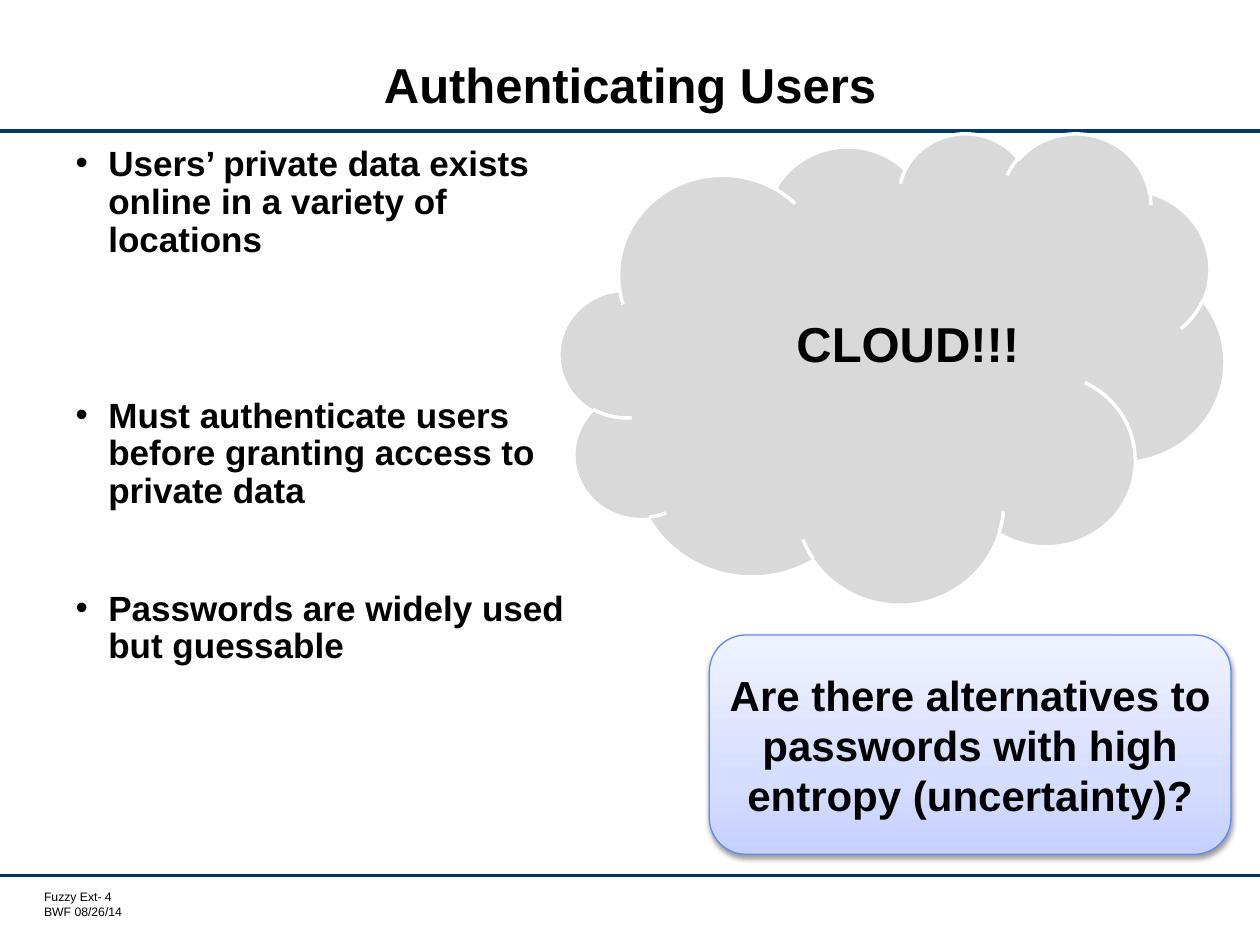
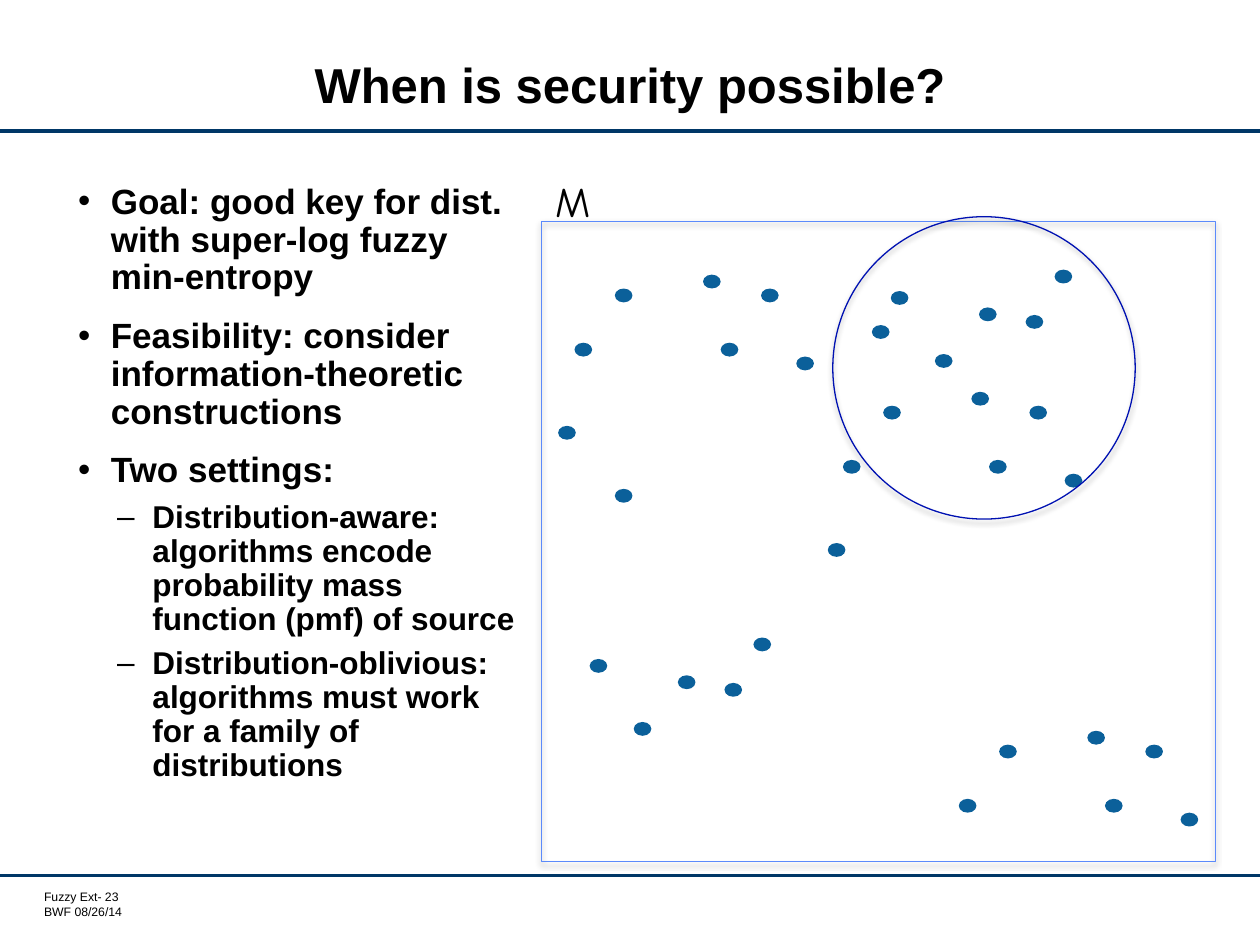
"""Build two slides on authenticating users and on when security is possible."""
from lxml import etree
from pptx import Presentation
from pptx import util as u
from pptx.dml.color import RGBColor
from pptx.enum import shapes, text
from pptx.oxml import parse_xml
from pptx.oxml.ns import nsdecls, qn

BLACK = RGBColor(0x00, 0x00, 0x00)
WHITE = RGBColor(0xFF, 0xFF, 0xFF)
NAVY = RGBColor(0x00, 0x37, 0x67)
DOT_BLUE = RGBColor(0x0B, 0x60, 0x9A)
EDGE_BLUE = RGBColor(0x5B, 0x8A, 0xFB)
RING_BLUE = RGBColor(0x00, 0x11, 0xB2)
CLOUD_GREY = RGBColor(0xD9, 0xD9, 0xD9)
CALLOUT_STOPS = (
    (0, RGBColor(0xC4, 0xD0, 0xFF)),
    (35, RGBColor(0xD6, 0xDE, 0xFF)),
    (100, RGBColor(0xEF, 0xF2, 0xFF)),
)

COLS, ROWS = 100, 75
KIND = shapes.MSO_SHAPE
ALIGN = text.PP_ALIGN
ANCHOR = text.MSO_ANCHOR

TITLE = {"size": u.Pt(28), "bold": True}
CALLOUT = {"size": u.Pt(24), "bold": True}
FOOTER = {"size": u.Pt(7), "bold": False}
SYMBOL = {"size": u.Pt(24), "bold": False, "name": "Comic Neue"}
LEVELS = (
    {"size": 20, "before": 12, "left": 0.26, "hang": -0.26},
    {"size": 18, "before": 6, "left": 0.59, "hang": -0.28},
)

ARC_CLUSTER = ((0, 0), (3.2, -4.3), (10.2, -5.4), (14.8, -4.3), (11.6, 0), (17.6, 1.1))
FAN_CLUSTER = ((0, 0), (7, 1.3), (13, -1.7), (10.7, 1.9), (3.5, 5))
SINGLE = ((0, 0),)
DOT_GROUPS = (
    (ARC_CLUSTER, ((45.6, 27.2), (66.9, 36.5), (76.1, 63.4))),
    (FAN_CLUSTER, ((46.8, 52.3), (70.7, 23.1))),
    (SINGLE, ((44.3, 33.8), (48.8, 38.8), (65.7, 43.1), (69.2, 25.8))),
)


def assign(target, values):
    """Set every attribute named in values on target."""
    for name, value in values.items():
        setattr(target, name, value)


class Deck:
    """Hold the presentation, its style and the current slide."""

    def __init__(self):
        """Start an empty presentation of 10 by 7.5 inches."""
        self.prs = Presentation()
        assign(self.prs, {"slide_width": u.Inches(10), "slide_height": u.Inches(7.5)})
        self.s = None

    def box(self, col, row, cols, rows):
        """Turn grid columns and rows into left, top, width and height."""
        w, h = self.prs.slide_width / COLS, self.prs.slide_height / ROWS
        return [round(n) for n in (col * w, row * h, cols * w, rows * h)]

    def place(self, sp, grid):
        """Move a placeholder onto the grid."""
        assign(sp, dict(zip(("left", "top", "width", "height"), self.box(*grid))))

    def add_words(self, p, words, font):
        """Add a run of words in the given font format."""
        r = p.add_run()
        r.text = words
        assign(r.font, {"name": "Arial", **font})
        r.font.color.rgb = BLACK

    def slide(self, title, number):
        """Add a slide with its title, rules and footer."""
        self.s = self.prs.slides.add_slide(self.prs.slide_layouts[1])
        sp = self.s.shapes.title
        self.place(sp, (5, 0.8, 90, 12.5))
        tf = sp.text_frame
        assign(tf, {"vertical_anchor": ANCHOR.MIDDLE, "auto_size": text.MSO_AUTO_SIZE.NONE})
        p = tf.paragraphs[0]
        assign(p, {"alignment": ALIGN.CENTER, "line_spacing": u.Pt(28)})
        self.add_words(p, title, TITLE)
        for row in (10.4, 69.5):
            self.rule(row)
        self.label((3.5, 70.6, 11.9, 2.4), (f"Fuzzy Ext- {number}", "BWF 08/26/14"),
                   FOOTER, margin=0)

    def rule(self, row):
        """Draw a line across the whole slide."""
        x, y, w, _ = self.box(0, row, COLS, 0)
        sp = self.s.shapes.add_connector(shapes.MSO_CONNECTOR.STRAIGHT, x, y, x + w, y)
        sp.line.color.rgb = NAVY
        sp.line.width = u.Pt(1.75)
        etree.SubElement(sp._element.spPr, qn("a:effectLst"))

    def bullets(self, grid, items):
        """Fill the body placeholder with (level, words, space before) items."""
        sp = self.s.placeholders[1]
        self.place(sp, grid)
        tf = sp.text_frame
        tf.auto_size = text.MSO_AUTO_SIZE.NONE
        for i, (level, words, before) in enumerate(items):
            p = tf.add_paragraph() if i else tf.paragraphs[0]
            form = LEVELS[level]
            assign(p, {"level": level, "line_spacing": 0.9,
                       "space_before": u.Pt(before or form["before"])})
            pPr = p._p.get_or_add_pPr()
            pPr.set("marL", str(u.Inches(form["left"])))
            pPr.set("indent", str(u.Inches(form["hang"])))
            for j, part in enumerate(words.split("\n")):
                if j:
                    p.add_line_break()
                self.add_words(p, part, {"size": u.Pt(form["size"]), "bold": True})

    def label(self, grid, lines, font, align=ALIGN.LEFT, margin=None, wrap=True):
        """Add a text box with one paragraph per line."""
        tf = self.s.shapes.add_textbox(*self.box(*grid)).text_frame
        tf.word_wrap = wrap
        if margin is not None:
            self.margins(tf, margin)
        for i, words in enumerate(lines):
            p = tf.add_paragraph() if i else tf.paragraphs[0]
            p.alignment = align
            self.add_words(p, words, font)

    def margins(self, tf, inches):
        """Give a text frame the same margin on all sides."""
        sides = ("left", "top", "right", "bottom")
        assign(tf, {f"margin_{side}": u.Inches(inches) for side in sides})

    def shape(self, kind, grid, fill=None, line=None, width=0.75):
        """Add a preset shape with an optional fill and outline."""
        sp = self.s.shapes.add_shape(kind, *self.box(*grid))
        sp.shadow.inherit = False
        for part, colour in ((sp.fill, fill), (sp.line.fill, line)):
            if colour is None:
                part.background()
            else:
                part.solid()
                part.fore_color.rgb = colour
        if line is not None:
            sp.line.width = u.Pt(width)
        return sp

    def shade(self, sp, alpha, dist):
        """Cast a soft black shadow below a shape."""
        sp._element.spPr.find(qn("a:effectLst")).append(parse_xml(
            f'<a:outerShdw {nsdecls("a")} blurRad="{u.Pt(3.1)}" dist="{u.Pt(dist)}" '
            f'dir="5400000" rotWithShape="0"><a:srgbClr val="{BLACK}">'
            f'<a:alpha val="{alpha * 1000}"/></a:srgbClr></a:outerShdw>'))

    def callout(self, grid, words):
        """Add a rounded box with a gradient and a centred question."""
        sp = self.shape(KIND.ROUNDED_RECTANGLE, grid, line=EDGE_BLUE)
        self.shade(sp, 38, 1.6)
        stops = "".join(f'<a:gs pos="{pos * 1000}"><a:srgbClr val="{colour}"/></a:gs>'
                        for pos, colour in CALLOUT_STOPS)
        spPr = sp._element.spPr
        spPr.replace(spPr.find(qn("a:noFill")), parse_xml(
            f'<a:gradFill {nsdecls("a")} rotWithShape="1"><a:gsLst>{stops}</a:gsLst>'
            '<a:lin ang="16200000" scaled="0"/></a:gradFill>'))
        tf = sp.text_frame
        assign(tf, {"word_wrap": True, "vertical_anchor": ANCHOR.MIDDLE})
        self.margins(tf, 0.05)
        tf.paragraphs[0].alignment = ALIGN.CENTER
        self.add_words(tf.paragraphs[0], words, CALLOUT)

    def dots(self, pattern, origins):
        """Repeat a pattern of small dots from each origin."""
        for col, row in origins:
            for dx, dy in pattern:
                self.shape(KIND.OVAL, (col + dx, row + dy, 1.4, 1.1), fill=DOT_BLUE)


def authenticating_users(deck):
    """Build the slide on passwords and the cloud."""
    deck.slide("Authenticating Users", 4)
    deck.bullets((5, 11.1, 40.8, 61.5), (
        (0, "Users’ private data exists online in a variety of locations", None),
        (0, "Must authenticate users before granting access to private data", 79),
        (0, "Passwords are widely used but guessable", 45.5),
    ))
    deck.callout((56.3, 50.4, 41.4, 17.4),
                 "Are there alternatives to passwords with high entropy (uncertainty)?")
    deck.shape(KIND.CLOUD, (44.4, 10.5, 52.8, 37.4), fill=CLOUD_GREY, line=WHITE, width=2)
    deck.label((62.1, 24.4, 19.9, 5.7), ("CLOUD!!!",), TITLE, ALIGN.CENTER, wrap=False)


def security_possible(deck):
    """Build the slide on the two settings and the space of points."""
    deck.slide("When is security possible?", 23)
    deck.bullets((5.2, 14.1, 36.9, 52.8), (
        (0, "Goal: good key for dist. with super-log fuzzy min-entropy", None),
        (0, "Feasibility: consider information-theoretic constructions", None),
        (0, "Two settings:", None),
        (1, "Distribution-aware: algorithms encode probability mass "
            "function (pmf) of source", None),
        (1, "Distribution-oblivious:\nalgorithms must work for a family of "
            "distributions", None),
    ))
    deck.label((43.1, 13.4, 4.5, 4), ("M",), SYMBOL, wrap=False)
    space = deck.shape(KIND.RECTANGLE, (43, 17.6, 53.5, 50.8), line=EDGE_BLUE)
    for pattern, origins in DOT_GROUPS:
        deck.dots(pattern, origins)
    ball = deck.shape(KIND.OVAL, (66.1, 17.2, 24, 24), line=RING_BLUE)
    for sp in (space, ball):
        deck.shade(sp, 35, 1.8)


def main():
    """Build both slides and save the file."""
    deck = Deck()
    authenticating_users(deck)
    security_possible(deck)
    deck.prs.save("out.pptx")


if __name__ == "__main__":
    main()
